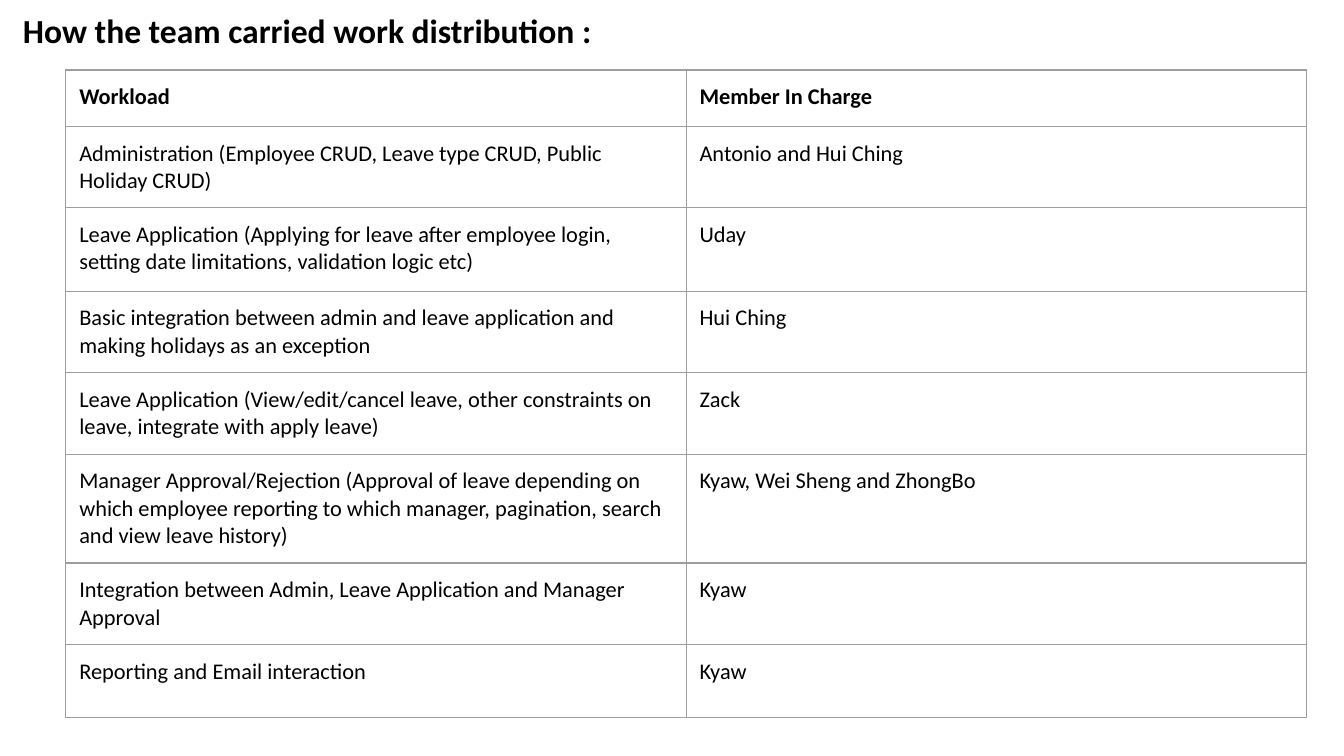
from lxml.etree import SubElement as Sub
from pptx import Presentation
from pptx.dml.color import RGBColor as Color
from pptx.enum.text import MSO_ANCHOR as Anchor, MSO_AUTO_SIZE as Auto, PP_ALIGN as Align
from pptx.oxml.ns import qn
from pptx.util import Inches, Pt

HUES = {"text": "000000", "rule": "9E9E9E"}
WIDE = Inches(10)
HIGH = WIDE * 9 // 16
PAD = Inches(0.1)
ROWS = [
    ("Workload", "Member In Charge", 0.42),
    ("Administration (Employee CRUD, Leave type CRUD, Public Holiday CRUD)",
     "Antonio and Hui Ching", 0.59),
    ("Leave Application (Applying for leave after employee login, "
     "setting date limitations, validation logic etc)", "Uday", 0.62),
    ("Basic integration between admin and leave application and "
     "making holidays as an exception", "Hui Ching", 0.58),
    ("Leave Application (View/edit/cancel leave, other constraints on leave, "
     "integrate with apply leave)", "Zack", 0.58),
    ("Manager Approval/Rejection (Approval of leave depending on which employee "
     "reporting to which manager, pagination, search and view leave history)",
     "Kyaw, Wei Sheng and ZhongBo", 0.77),
    ("Integration between Admin, Leave Application and Manager Approval",
     "Kyaw", 0.58),
    ("Reporting and Email interaction", "Kyaw", 0.54),
]


def write(frame, text, size=12, bold=False, hue="text"):
    """Put formatted text into a text frame."""
    para = frame.paragraphs[0]
    para.alignment = Align.LEFT
    run = para.add_run()
    run.text = text
    font = run.font
    font.name, font.size, font.bold = "Calibri", Pt(size), bold
    font.color.rgb = Color.from_string(HUES[hue])


def inset(item):
    """Give a cell or text frame equal margins and top anchoring."""
    item.margin_left = item.margin_right = PAD
    item.margin_top = item.margin_bottom = PAD
    item.vertical_anchor = Anchor.TOP


def border(cell, hue="rule", width=0.75):
    """Rule all four sides of a cell."""
    props = cell._tc.get_or_add_tcPr()
    for side in ("a:lnL", "a:lnR", "a:lnT", "a:lnB"):
        line = Sub(props, qn(side), w=str(Pt(width)))
        Sub(Sub(line, qn("a:solidFill")), qn("a:srgbClr"), val=HUES[hue])


def head(slide, text):
    """Place the slide title."""
    title = slide.shapes.title
    title.left, title.top = Inches(0.07), Inches(-0.03)
    title.width, title.height = Inches(8.69), Inches(0.41)
    frame = title.text_frame
    inset(frame)
    frame.word_wrap, frame.auto_size = True, Auto.NONE
    write(frame, text, size=18, bold=True)


def grid(slide, rows):
    """Draw the table of workloads and members."""
    high = sum(row[-1] for row in rows)
    table = slide.shapes.add_table(
        len(rows), 2, Inches(0.49), Inches(0.52), Inches(9.23), Inches(high)).table
    table.horz_banding = table.first_row = False
    for i, (*texts, tall) in enumerate(rows):
        table.rows[i].height = Inches(tall)
        for j, text in enumerate(texts):
            cell = table.cell(i, j)
            inset(cell)
            border(cell)
            cell.fill.background()
            write(cell.text_frame, text, bold=i == 0)


def main():
    """Build and save the slide."""
    deck = Presentation()
    deck.slide_width, deck.slide_height = WIDE, HIGH
    slide = deck.slides.add_slide(deck.slide_layouts[5])
    head(slide, "How the team carried work distribution :")
    grid(slide, ROWS)
    deck.save("out.pptx")


if __name__ == "__main__":
    main()
